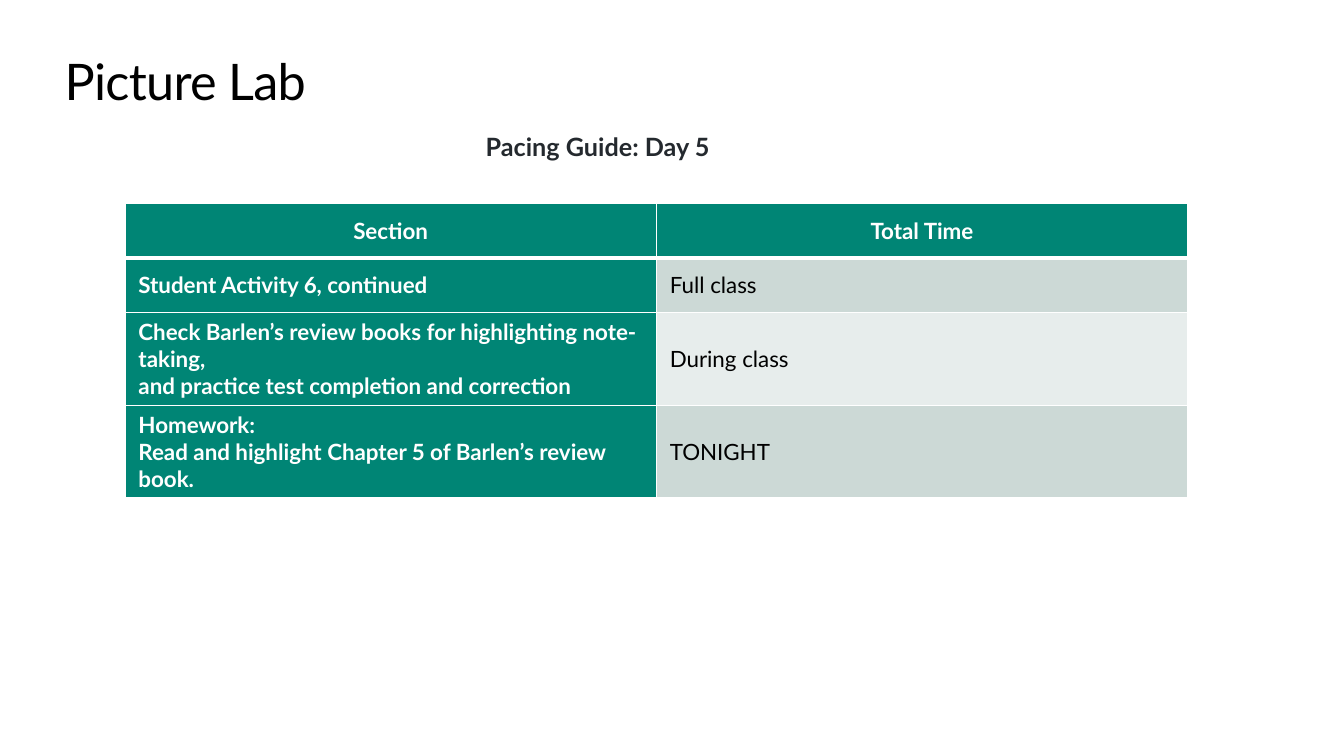
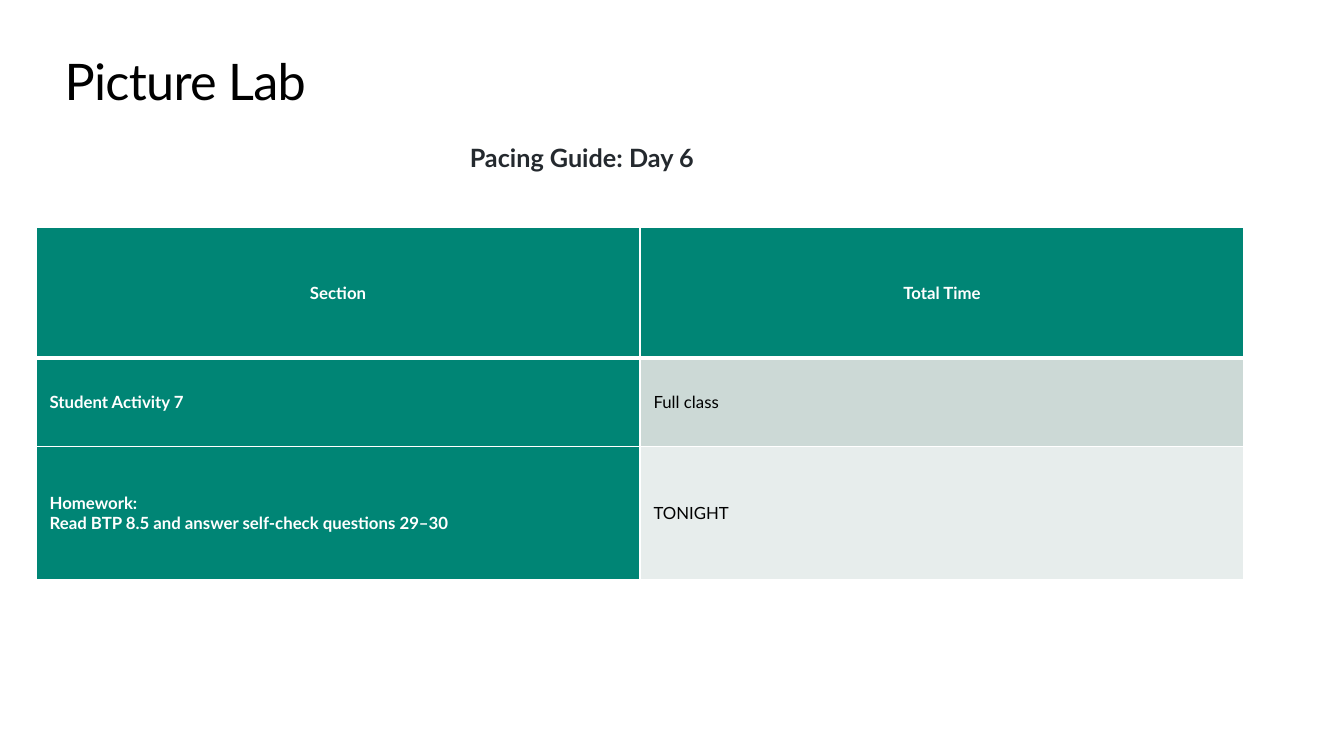
import copy
from dataclasses import dataclass

import lxml.etree
import pptx
import pptx.dml.color
import pptx.enum.text
import pptx.oxml.ns
import pptx.util
from pptx.util import Cm

ALIGN = pptx.enum.text.PP_ALIGN
ANCHOR = pptx.enum.text.MSO_ANCHOR


@dataclass(frozen=True)
class Theme:
    font: str = "Lato"
    black: str = "000000"
    white: str = "FFFFFF"
    charcoal: str = "24292E"
    teal: str = "008575"
    bands: tuple = ("CCD9D6", "E7EDEC")
    title_size: int = 36
    subtitle_size: int = 18
    rule: int = 1
    header_rule: int = 3


THEME = Theme()


def write(frame, text, *, size, color, bold=False, align=ALIGN.LEFT,
          after=0, tracking=0):
    """Fill a text frame with one paragraph; newlines become line breaks."""
    paragraph = frame.paragraphs[0]
    paragraph.text = text
    paragraph.alignment = align
    paragraph.space_after = pptx.util.Pt(after)
    for run in paragraph.runs:
        run.font.name = THEME.font
        run.font.size = pptx.util.Pt(size)
        run.font.bold = bold
        run.font.color.rgb = pptx.dml.color.RGBColor.from_string(color)
        if tracking:
            run.font._element.set("spc", str(round(tracking * 100)))
    # Line breaks take the format of the runs, so that line heights match
    for line_break in paragraph._p.findall(pptx.oxml.ns.qn("a:br")):
        line_break.insert(0, copy.deepcopy(paragraph.runs[0].font._element))


def set_borders(cell, **widths):
    """Draw white cell borders; keys are L, R, T, B and widths are points."""
    qn = pptx.oxml.ns.qn
    properties = cell._tc.get_or_add_tcPr()
    for position, side in enumerate("LRTB"):
        line = lxml.etree.Element(qn(f"a:ln{side}"),
                                  w=str(pptx.util.Pt(widths.get(side, THEME.rule))))
        fill = lxml.etree.SubElement(line, qn("a:solidFill"))
        lxml.etree.SubElement(fill, qn("a:srgbClr"), val=THEME.white)
        properties.insert(position, line)


class PacingDeck:
    def __init__(self):
        self.deck = pptx.Presentation()
        self.deck.slide_width, self.deck.slide_height = Cm(33.87), Cm(19.05)
        self.slide = None

    def new_slide(self, title):
        self.slide = self.deck.slides.add_slide(self.deck.slide_layouts[5])
        heading = self.slide.shapes.title
        heading.left, heading.top = Cm(1.63), Cm(1.27)
        heading.width, heading.height = Cm(30.61), Cm(1.55)
        self.plain_frame(heading.text_frame)
        write(heading.text_frame, title, size=THEME.title_size,
              color=THEME.black, tracking=-0.5)

    def plain_frame(self, frame):
        frame.margin_left = frame.margin_right = 0
        frame.margin_top = frame.margin_bottom = 0
        frame.vertical_anchor = ANCHOR.TOP
        frame.auto_size = pptx.enum.text.MSO_AUTO_SIZE.NONE
        frame.word_wrap = True

    def subtitle(self, text, left, top):
        box = self.slide.shapes.add_textbox(Cm(left), Cm(top), Cm(7.62), Cm(0.76))
        self.plain_frame(box.text_frame)
        write(box.text_frame, text, size=THEME.subtitle_size,
              color=THEME.charcoal, bold=True)

    def pacing_table(self, entries, left, top, column_width, row_heights, size):
        rows = [("Section", "Total Time"), *entries]
        table = self.slide.shapes.add_table(
            len(rows), 2, Cm(left), Cm(top),
            Cm(2 * column_width), Cm(sum(row_heights))).table
        table.first_col = True
        for column in table.columns:
            column.width = Cm(column_width)
        for row_index, (texts, height) in enumerate(zip(rows, row_heights)):
            table.rows[row_index].height = Cm(height)
            for column_index, text in enumerate(texts):
                self.pacing_cell(table.cell(row_index, column_index), text,
                                 row_index, column_index, size)

    def pacing_cell(self, cell, text, row_index, column_index, size):
        header = row_index == 0
        strong = header or column_index == 0
        cell.margin_left = cell.margin_right = Cm(0.34)
        cell.margin_top = cell.margin_bottom = Cm(0.15)
        cell.vertical_anchor = ANCHOR.MIDDLE
        cell.fill.solid()
        cell.fill.fore_color.rgb = pptx.dml.color.RGBColor.from_string(
            THEME.teal if strong else THEME.bands[(row_index - 1) % 2])
        write(cell.text_frame, text, size=size, bold=strong, after=12,
              color=THEME.white if strong else THEME.black,
              align=ALIGN.CENTER if header else ALIGN.LEFT)
        # The thick rule lies between the header and the first entry
        set_borders(cell,
                    T=THEME.header_rule if row_index == 1 else THEME.rule,
                    B=THEME.header_rule if header else THEME.rule)


def main():
    pacing = PacingDeck()

    # Day 5
    pacing.new_slide("Picture Lab")
    pacing.pacing_table(
        [("Student Activity 6, continued", "Full class"),
         ("Check Barlen’s review books for highlighting note-taking,\n"
          "and practice test completion and correction", "During class"),
         ("Homework:\nRead and highlight Chapter 5 of Barlen’s review book.",
          "TONIGHT")],
        left=3.15, top=5.13, column_width=13.39,
        row_heights=(1.37, 1.37, 2.34, 2.34), size=16)
    pacing.subtitle("Pacing Guide: Day 5", left=12.24, top=3.3)

    # Day 6
    pacing.new_slide("Picture Lab")
    pacing.pacing_table(
        [("Student Activity 7", "Full class"),
         ("Homework:\nRead BTP 8.5 and answer self-check questions 29–30",
          "TONIGHT")],
        left=0.91, top=5.74, column_width=15.22,
        row_heights=(3.28, 2.24, 3.35), size=12)
    pacing.subtitle("Pacing Guide: Day 6", left=11.84, top=3.58)

    pacing.deck.save("out.pptx")


if __name__ == "__main__":
    main()
